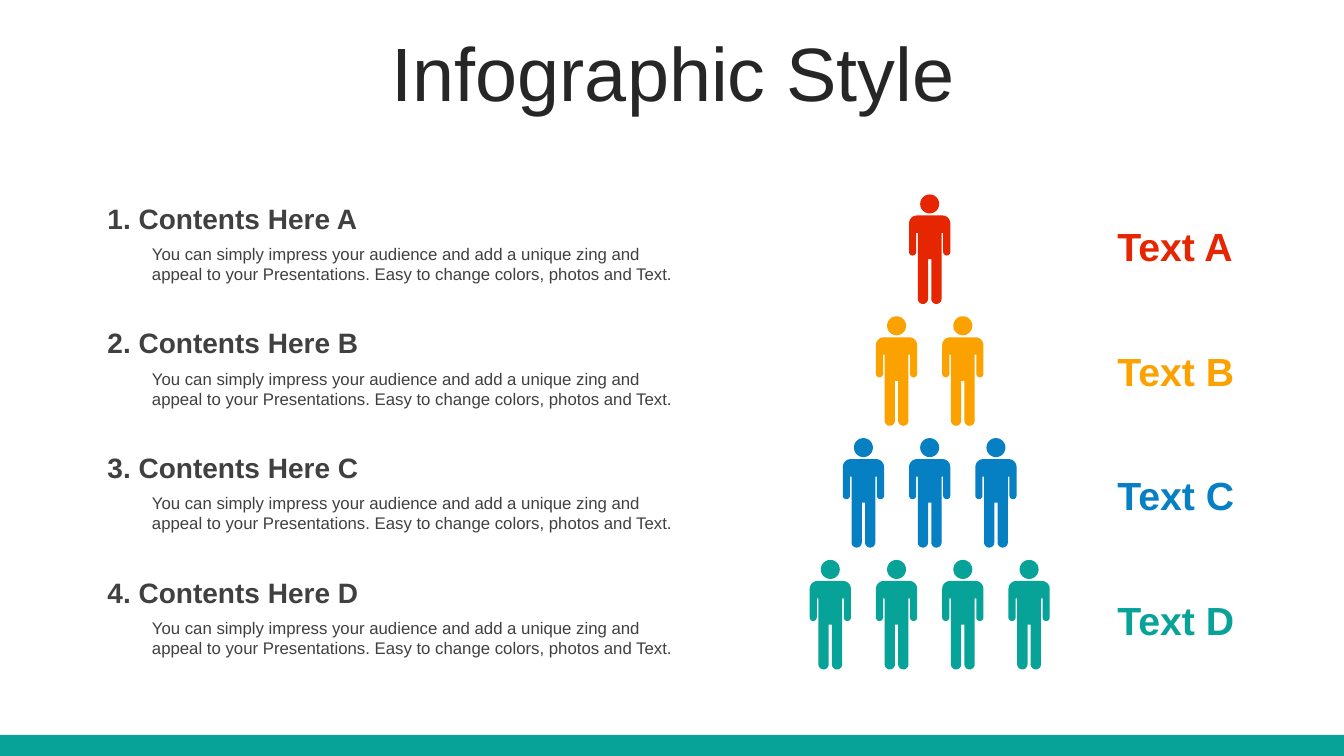
from dataclasses import dataclass
import math

from pptx import Presentation
from pptx import util as u
from pptx.dml import color
from pptx.enum import shapes, text


@dataclass(frozen=True)
class Theme:
    font: str = "Arial"
    title: str = "262626"
    ink: str = "404040"
    rows: tuple = ("E62601", "FBA200", "0680C3", "07A398")
    bar: str = "07A398"
    title_size: int = 54
    label_size: int = 28
    heading_size: int = 20
    body_size: int = 12


def write(frame, words, size, tint, bold=False):
    frame.word_wrap = True
    span = frame.paragraphs[0].add_run()
    span.text = words
    span.font.name = theme.font
    span.font.size = u.Pt(size)
    span.font.bold = bold
    span.font.color.rgb = color.RGBColor.from_string(tint)


def arc(x, y, radius, start, end):
    angles = [math.radians(degree) for degree in range(start, end + 1, 15)]
    return [(x + radius * math.cos(a), y + radius * math.sin(a)) for a in angles]


theme = Theme()
deck = Presentation()
deck.slide_width, deck.slide_height = u.Cm(33.87), u.Cm(19.05)
page = deck.slides.add_slide(deck.slide_layouts[5])

bar = page.shapes.add_shape(
    shapes.MSO_SHAPE.RECTANGLE, 0, u.Cm(18.52), deck.slide_width, u.Cm(0.53)
)
bar.shadow.inherit = False
bar.fill.solid()
bar.fill.fore_color.rgb = color.RGBColor.from_string(theme.bar)
bar.line.fill.background()

title = page.shapes.title
title.left, title.top = u.Cm(0.89), u.Cm(0.94)
title.width, title.height = u.Cm(32.16), u.Cm(2)
title.text_frame.auto_size = text.MSO_AUTO_SIZE.NONE
title.text_frame.vertical_anchor = text.MSO_ANCHOR.MIDDLE
write(title.text_frame, "Infographic Style", theme.title_size, theme.title)
para = title.text_frame.paragraphs[0]
para.alignment = text.PP_ALIGN.CENTER
para.line_spacing = 0.9
para.space_before = u.Pt(10)

right_half = (
    arc(0.32, 0.73, 0.2, -90, 0)
    + arc(0.43, 1.45, 0.09, 0, 180)
    + [(0.34, 0.97), (0.3, 0.97)]
    + arc(0.17, 2.63, 0.13, 0, 180)
    + [(0.04, 1.63)]
)
body = right_half + [(-x, y) for x, y in reversed(right_half)]
head = arc(0, 0.24, 0.24, 0, 345)

people_center, people_top = 23.43, 4.9
person_pitch, people_pitch = 1.67, 3.07
for row, tint in enumerate(theme.rows):
    people = page.shapes.add_group_shape()
    top = people_top + row * people_pitch
    for place in range(row + 1):
        center = people_center + (place - row / 2) * person_pitch
        contours = [
            [(u.Cm(center + x), u.Cm(top + y)) for x, y in part]
            for part in (body, head)
        ]
        outline = people.shapes.build_freeform(*contours[0][0])
        outline.add_line_segments(contours[0][1:], close=True)
        outline.move_to(*contours[1][0])
        outline.add_line_segments(contours[1][1:], close=True)
        person = outline.convert_to_shape()
        person.shadow.inherit = False
        person.fill.solid()
        person.fill.fore_color.rgb = color.RGBColor.from_string(tint)
        person.line.fill.background()

description = (
    "You can simply impress your audience and add a unique zing and appeal "
    "to your Presentations. Easy to change colors, photos and Text."
)
text_top, text_pitch = 4.95, 3.14
for row, (letter, tint) in enumerate(zip("ABCD", theme.rows)):
    top = text_top + row * text_pitch
    heading = f"{row + 1}. Contents Here {letter}"
    entries = [
        (3.63, 1.07, 13.89, 1.27, 0.2, description, theme.body_size, theme.ink, False),
        (2.46, 0, 15.06, 1.12, 0.25, heading, theme.heading_size, theme.ink, True),
        (27.91, 0.53, 3.63, 1.45, 0.25, f"Text {letter}", theme.label_size, tint, True),
    ]
    for left, drop, width, height, inset, words, size, ink, bold in entries:
        box = page.shapes.add_textbox(
            u.Cm(left), u.Cm(top + drop), u.Cm(width), u.Cm(height)
        )
        frame = box.text_frame
        frame.auto_size = text.MSO_AUTO_SIZE.SHAPE_TO_FIT_TEXT
        frame.margin_left = frame.margin_right = u.Cm(inset)
        write(frame, words, size, ink, bold)

deck.save("out.pptx")
